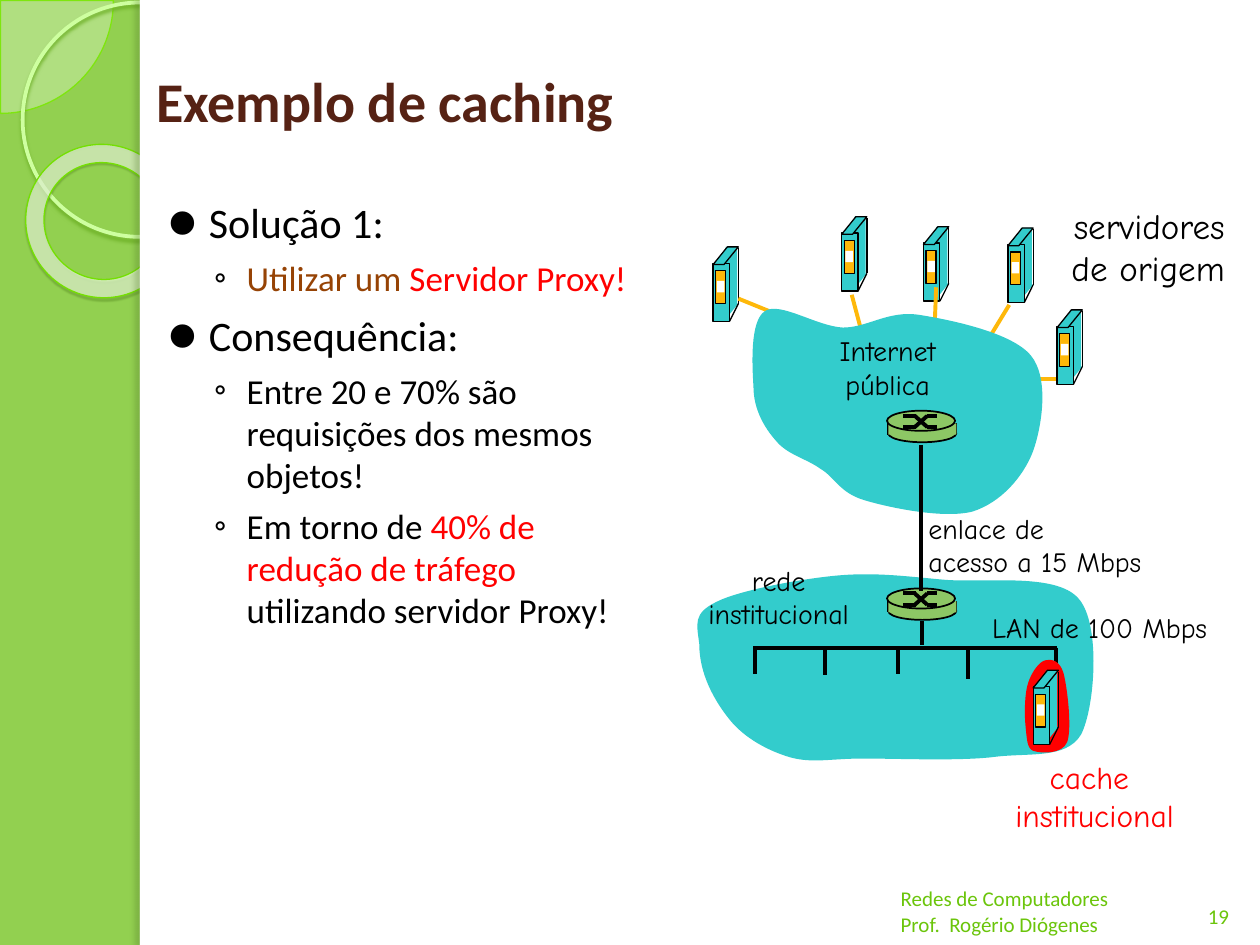
from lxml import etree
from pptx import Presentation
from pptx.dml.color import RGBColor
from pptx.enum.shapes import MSO_CONNECTOR, MSO_SHAPE
from pptx.enum.text import MSO_ANCHOR, PP_ALIGN
from pptx.oxml.ns import qn
from pptx.util import Inches, Pt

RECT, OVAL, SLANT = MSO_SHAPE.RECTANGLE, MSO_SHAPE.OVAL, MSO_SHAPE.PARALLELOGRAM
PIE, DONUT = MSO_SHAPE.PIE, MSO_SHAPE.DONUT
LEFT, CENTER, RIGHT = PP_ALIGN.LEFT, PP_ALIGN.CENTER, PP_ALIGN.RIGHT
TOP, MIDDLE, BOTTOM = MSO_ANCHOR.TOP, MSO_ANCHOR.MIDDLE, MSO_ANCHOR.BOTTOM
SANS, COMIC = "Calibri", "Comic Neue"
BLACK, WHITE, RED, GREEN = "000000", "FFFFFF", "FF0000", "6BC50B"
TEAL, AMBER, ROUTER = "33CCCC", "FEB80A", "8DC765"

# Content: (level, [(text, colour), ...])
BULLETS = [
    (0, [("Solução 1:", BLACK)]),
    (1, [("Utilizar um ", "964305"), ("Servidor Proxy!", RED)]),
    (0, [("Consequência:", BLACK)]),
    (1, [("Entre 20 e 70% são requisições dos mesmos objetos!", BLACK)]),
    (1, [("Em torno de ", BLACK), ("40% de redução de tráfego ", RED),
         ("utilizando servidor Proxy!", BLACK)]),
]
# Per level: bullet, size, left indent, hanging indent, space before
LEVELS = [("⚫", 24, 0.4, 0.31, 6), ("◦", 20, 0.7, 0.26, 5.5)]

# Text, box, size, font, colour, alignment, anchor, bold
LABELS = [
    ("Exemplo de caching", (1.14, 0.17, 8.7, 1.25), 32, SANS, "562214", LEFT, MIDDLE, True),
    ("19", (9.42, 6.9, 0.5, 0.52), 12, SANS, GREEN, CENTER, BOTTOM, False),
    ("Redes de Computadores\nProf.  Rogério Diógenes", (7.05, 6.96, 2.76, 0.52),
     12, SANS, GREEN, LEFT, BOTTOM, False),
    ("servidores\nde origem", (8.25, 1.57, 1.57, 0.77), 20, COMIC, BLACK, RIGHT, TOP, False),
    ("Internet\vpública", (6.49, 2.6, 1.11, 0.64), 16, COMIC, BLACK, CENTER, TOP, False),
    ("rede\vinstitucional", (5.45, 4.42, 1.46, 0.64), 16, COMIC, BLACK, CENTER, TOP, False),
    ("LAN de 100 Mbps", (7.42, 4.8, 2.26, 0.37), 16, COMIC, BLACK, RIGHT, TOP, False),
    ("enlace de\vacesso a 15 Mbps", (7.27, 4.01, 1.99, 0.64), 16, COMIC, BLACK, LEFT, TOP, False),
    ("cache\v institucional", (7.8, 5.97, 1.69, 0.7), 18, COMIC, RED, CENTER, TOP, False),
]

SERVERS = [(5.66, 1.96), (6.68, 1.72), (7.33, 1.8), (8, 1.81), (8.39, 2.46)]
SERVER_LINKS = [(5.86, 2.37, 6.18, 2.5), (6.76, 2.34, 6.84, 2.64), (7.43, 2.28, 7.42, 2.54),
                (8.01, 2.42, 7.87, 2.65), (8.38, 3.01, 8.11, 3.01)]
LAN_DROPS = [(5.99, 5.35), (6.55, 5.36), (7.13, 5.35), (7.68, 5.39), (8.38, 5.38)]

# Closed outlines: start point, then cubic segments (two controls and an end)
INTERNET = [(5.98, 3.07), (5.97, 2.9, 5.95, 2.55, 6.07, 2.47), (6.19, 2.39, 6.48, 2.59, 6.69, 2.6),
            (6.89, 2.6, 7.05, 2.46, 7.3, 2.5), (7.55, 2.54, 8.03, 2.64, 8.18, 2.82),
            (8.33, 3, 8.27, 3.38, 8.2, 3.58), (8.12, 3.79, 7.94, 3.99, 7.72, 4.06),
            (7.49, 4.12, 7.06, 4.03, 6.86, 3.97), (6.66, 3.91, 6.63, 3.79, 6.51, 3.72),
            (6.4, 3.64, 6.25, 3.61, 6.16, 3.5), (6.07, 3.4, 5.98, 3.25, 5.98, 3.07)]
INSTITUTION = [(5.55, 5.11), (5.53, 4.95, 5.5, 4.87, 5.68, 4.78), (5.85, 4.69, 6.32, 4.6, 6.62, 4.57),
               (6.92, 4.54, 7.16, 4.57, 7.48, 4.6), (7.8, 4.63, 8.38, 4.54, 8.56, 4.75),
               (8.74, 4.95, 8.69, 5.62, 8.58, 5.83), (8.46, 6.03, 8.16, 5.97, 7.87, 6.01),
               (7.59, 6.04, 7.12, 6.02, 6.85, 6.02), (6.59, 6.02, 6.45, 6.06, 6.27, 6.01),
               (6.1, 5.96, 5.91, 5.86, 5.79, 5.71), (5.67, 5.56, 5.55, 5.35, 5.55, 5.11)]
CACHE_HALO = [(8.16, 5.42), (8.19, 5.33, 8.25, 5.25, 8.3, 5.24), (8.34, 5.23, 8.41, 5.24, 8.44, 5.34),
              (8.47, 5.45, 8.51, 5.78, 8.47, 5.89), (8.43, 5.99, 8.26, 5.98, 8.2, 5.96),
              (8.15, 5.94, 8.15, 5.86, 8.14, 5.77), (8.13, 5.68, 8.13, 5.51, 8.16, 5.42)]


def rgb(color):
    return RGBColor.from_string(color)


def sub(parent, tag, **attrs):
    return etree.SubElement(parent, qn(tag), {k: str(v) for k, v in attrs.items()})


def paint(sp, fill=None, line=None, width=0.75, alpha=None):
    sp.shadow.inherit = False
    if fill:
        sp.fill.solid()
        sp.fill.fore_color.rgb = rgb(fill)
        if alpha:
            clr = sp._element.spPr.find(qn("a:solidFill"))[0]
            sub(clr, "a:alpha", val=alpha * 1000)
    else:
        sp.fill.background()
    if line:
        sp.line.color.rgb = rgb(line)
        sp.line.width = Pt(width)
    else:
        sp.line.fill.background()
    return sp


def shape(shapes, kind, box, *style, adj=(), **kw):
    sp = shapes.add_shape(kind, *map(Inches, box))
    for i, value in enumerate(adj):
        sp.adjustments[i] = value
    return paint(sp, *style, **kw)


def shadow(sp, color, alpha, blur, dist, angle):
    effects = sp._element.spPr.find(qn("a:effectLst"))
    outer = sub(effects, "a:outerShdw", blurRad=Pt(blur), dist=Pt(dist), dir=angle * 60000)
    sub(sub(outer, "a:srgbClr", val=color), "a:alpha", val=alpha * 1000)


def line(shapes, ends, color=BLACK, width=2.25):
    c = shapes.add_connector(MSO_CONNECTOR.STRAIGHT, *map(Inches, ends))
    c.line.color.rgb = rgb(color)
    c.line.width = Pt(width)
    sub(c._element.spPr, "a:effectLst")


def blob(shapes, outline, fill):
    start, *curves = outline
    points = [(Inches(c[i]), Inches(c[i + 1])) for c in curves for i in (0, 2, 4)]
    fb = shapes.build_freeform(*map(Inches, start))
    fb.add_line_segments(points, close=True)
    sp = paint(fb.convert_to_shape(), fill)
    # Every three straight segments become one cubic curve
    segments = list(sp._element.iter(qn("a:lnTo")))
    for i in range(0, len(points), 3):
        curve = etree.Element(qn("a:cubicBezTo"))
        segments[i].addprevious(curve)
        for segment in segments[i:i + 3]:
            curve.append(segment[0])
            segment.getparent().remove(segment)


def server(shapes, x, y):
    g = shapes.add_group_shape().shapes
    shape(g, SLANT, (x, y + 0.45, 0.2, 0.14), TEAL, adj=[0.81])
    shape(g, RECT, (x + 0.1, y, 0.09, 0.46), TEAL)
    shape(g, RECT, (x, y + 0.13, 0.13, 0.46), TEAL, BLACK)
    shape(g, SLANT, (x, y, 0.2, 0.14), TEAL, BLACK, adj=[0.81])
    line(g, (x + 0.2, y + 0.01, x + 0.2, y + 0.45), width=0.75)
    line(g, (x + 0.2, y + 0.45, x + 0.13, y + 0.59), width=0.75)
    shape(g, RECT, (x + 0.02, y + 0.19, 0.08, 0.26), AMBER, BLACK)
    shape(g, RECT, (x + 0.03, y + 0.27, 0.06, 0.09), WHITE)


def router(shapes, x, y):
    g = shapes.add_group_shape().shapes
    shape(g, OVAL, (x + 0.01, y + 0.11, 0.54, 0.14), ROUTER, BLACK, 1)
    for side in (x + 0.01, x + 0.55):
        line(g, (side, y + 0.1, side, y + 0.19), width=1)
    shape(g, RECT, (x + 0.01, y + 0.1, 0.54, 0.09), ROUTER)
    shape(g, OVAL, (x, y, 0.54, 0.16), ROUTER, BLACK, 1)
    high, low = y + 0.04, y + 0.13
    for a, b in ((high, low), (low, high)):
        line(g, (x + 0.13, a, x + 0.23, a))
        line(g, (x + 0.22, a, x + 0.32, b))
        line(g, (x + 0.32, b, x + 0.4, b))


def textbox(shapes, box, anchor=TOP):
    tf = shapes.add_textbox(*map(Inches, box)).text_frame
    tf.word_wrap = True
    tf.vertical_anchor = anchor
    return tf


def style(font, size, name, color, bold=False):
    font.size, font.name, font.bold = Pt(size), name, bold
    font.color.rgb = rgb(color)


prs = Presentation()
prs.slide_width, prs.slide_height = Inches(10), Inches(7.5)
s = prs.slides.add_slide(prs.slide_layouts[6])
s.background.fill.solid()
s.background.fill.fore_color.rgb = rgb("92D050")
shapes = s.shapes

# Green side band with rings, then the white panel
shape(shapes, PIE, (-0.89, -0.89, 1.79, 1.79), "EEFEE3", "7EE60E", adj=[0, 54.02], alpha=33)
ring = shape(shapes, OVAL, (0.18, 0.02, 1.86, 1.86), None, "CEFFA0", 2.15)
shadow(ring, "6AAE22", 85, 2, 2, 90)
donut = shape(shapes, DONUT, (0.2, 1.15, 1.23, 1.21), "F3FFE9", "74E002", adj=[0.12], alpha=62)
donut.rotation = 38.6
shadow(donut, "335F05", 35, 1, 1.2, 75)
shape(shapes, RECT, (1.11, 0, 8.89, 7.5), WHITE)
edge = shape(shapes, RECT, (1.11, 0, 0.08, 7.5), WHITE)
shadow(edge, "466722", 25, 3, 3, 180)

# Bullet list
tf = textbox(shapes, (1.16, 1.51, 4.12, 3.72))
for i, (level, runs) in enumerate(BULLETS):
    char, size, left, hang, before = LEVELS[level]
    p = tf.add_paragraph() if i else tf.paragraphs[0]
    p.level = level
    pPr = p._p.get_or_add_pPr()
    pPr.set("marL", str(Inches(left)))
    pPr.set("indent", str(-Inches(hang)))
    sub(sub(pPr, "a:buClr"), "a:srgbClr", val=BLACK)
    sub(pPr, "a:buFont", typeface=SANS)
    sub(pPr, "a:buChar", char=char)
    if i:
        p.space_before = Pt(before)
    for text, color in runs:
        r = p.add_run()
        r.text = text
        style(r.font, size, SANS, color)

# Origin servers and the public internet
for x, y in SERVERS:
    server(shapes, x, y)
for ends in SERVER_LINKS:
    line(shapes, ends, AMBER)
blob(shapes, INTERNET, TEAL)
router(shapes, 7.04, 3.26)

# Institutional network with its cache
blob(shapes, INSTITUTION, TEAL)
line(shapes, (5.98, 5.14, 8.39, 5.14))
for x, bottom in LAN_DROPS:
    line(shapes, (x, 5.14, x, bottom))
blob(shapes, CACHE_HALO, RED)
server(shapes, 8.2, 5.32)
router(shapes, 7.04, 4.67)
line(shapes, (7.31, 3.53, 7.31, 4.69))
line(shapes, (7.32, 4.93, 7.32, 5.12))

# Title, footer and diagram labels
for text, box, size, name, color, align, anchor, bold in LABELS:
    tf = textbox(shapes, box, anchor)
    tf.text = text
    for p in tf.paragraphs:
        p.alignment = align
        for r in p.runs:
            style(r.font, size, name, color, bold)

prs.save("out.pptx")
